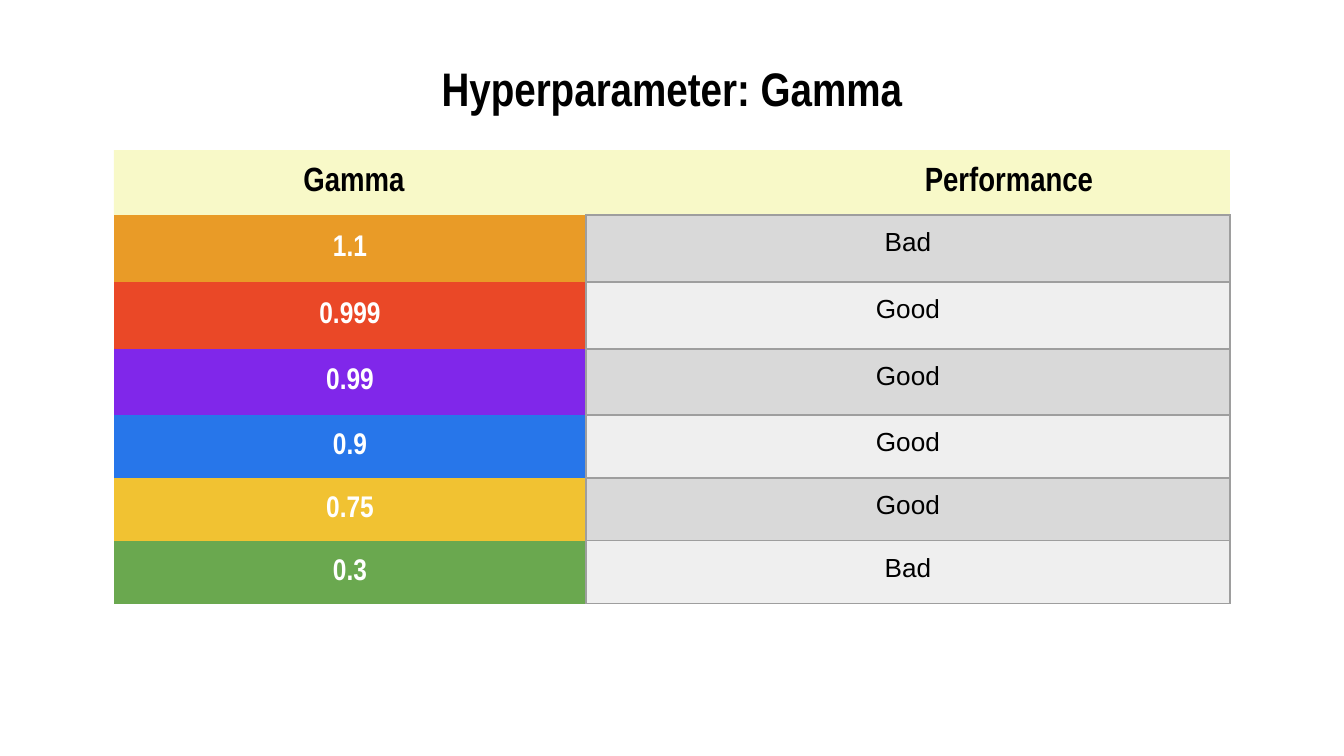
from lxml import etree
from pptx import Presentation
from pptx.dml.color import RGBColor
from pptx.enum.text import MSO_ANCHOR, PP_ALIGN
from pptx.oxml.ns import qn
from pptx.util import Pt

CENTER = PP_ALIGN.CENTER
MIDDLE, TOP = MSO_ANCHOR.MIDDLE, MSO_ANCHOR.TOP
TITLE_ONLY = 5
EMU_PER_PX = 914400 / 134.4
INSET = 13
HEADING_FONT, BODY_FONT = "Arial Narrow", "Arial"
NO_STYLE = "{2D5ABB26-0587-4C30-8999-92F81FD0307C}"

COLORS = {
    "text": "000000", "on_color": "FFFFFF", "header": "E4EA27",
    "border": "9E9E9E", "odd": "D9D9D9", "even": "EFEFEF",
    "orange": "E99B27", "red": "EA4827", "purple": "8027EA",
    "blue": "2776EA", "yellow": "F1C232", "green": "6AA84F",
}
RESULTS = [
    ("1.1", "Bad", "orange", 67),
    ("0.999", "Good", "red", 67),
    ("0.99", "Good", "purple", 66),
    ("0.9", "Good", "blue", 63),
    ("0.75", "Good", "yellow", 63),
    ("0.3", "Bad", "green", 63),
]
HEADER_HEIGHT = 65
COLUMN_WIDTHS = (472, 644)
HEADING_CENTERS = (240, 895)


def px(length):
    return round(length * EMU_PER_PX)


def rgb(name):
    return RGBColor.from_string(COLORS[name])


def set_insets(holder):
    holder.margin_left = holder.margin_right = px(INSET)
    holder.margin_top = holder.margin_bottom = px(INSET)


def write(paragraph, text, size, font, color, bold):
    run = paragraph.add_run()
    run.text = text
    run.font.size = Pt(size)
    run.font.name = font
    run.font.bold = bold
    run.font.color.rgb = rgb(color)


def fill_cell(cell, color, anchor):
    set_insets(cell)
    cell.vertical_anchor = anchor
    cell.fill.solid()
    cell.fill.fore_color.rgb = rgb(color)


def draw_borders(cell, sides):
    """Draw thin lines on the given sides, in L, R, T, B order."""
    properties = cell._tc.get_or_add_tcPr()
    for position, side in enumerate(sides):
        line = etree.Element(qn(f"a:ln{side}"), w=str(Pt(0.75)))
        solid = etree.SubElement(line, qn("a:solidFill"))
        etree.SubElement(solid, qn("a:srgbClr"), val=COLORS["border"])
        properties.insert(position, line)


def add_title(slide, left, top, width, height):
    title = slide.shapes.title
    title.left, title.top = px(left), px(top)
    title.width, title.height = px(width), px(height)
    frame = title.text_frame
    set_insets(frame)
    frame.vertical_anchor = MIDDLE
    frame.paragraphs[0].alignment = CENTER
    write(frame.paragraphs[0], "Hyperparameter: Gamma", 25.2, HEADING_FONT, "text", True)


def add_header(table):
    """Merge the first row and centre both headings on tab stops."""
    header = table.cell(0, 0)
    header.merge(table.cell(0, 1))
    fill_cell(header, "header", MIDDLE)
    tint = header._tc.tcPr.find(".//" + qn("a:srgbClr"))
    etree.SubElement(tint, qn("a:alpha"), val="25000")
    paragraph = header.text_frame.paragraphs[0]
    tabs = etree.SubElement(paragraph._p.get_or_add_pPr(), qn("a:tabLst"))
    for center in HEADING_CENTERS:
        etree.SubElement(tabs, qn("a:tab"), pos=str(px(center - INSET)), algn="ctr")
    write(paragraph, "\tGamma\tPerformance", 18, HEADING_FONT, "text", True)


def add_results_table(slide, left, top):
    heights = [HEADER_HEIGHT] + [height for *_, height in RESULTS]
    frame = slide.shapes.add_table(
        len(heights), len(COLUMN_WIDTHS), px(left), px(top),
        px(sum(COLUMN_WIDTHS)), px(sum(heights)))
    table = frame.table
    table.first_row = table.horz_banding = False
    table._tbl.tblPr.find(qn("a:tableStyleId")).text = NO_STYLE
    for column, width in zip(table.columns, COLUMN_WIDTHS):
        column.width = px(width)
    for row, height in zip(table.rows, heights):
        row.height = px(height)

    add_header(table)
    for index, (gamma, performance, color, _) in enumerate(RESULTS, start=1):
        gamma_cell, performance_cell = table.cell(index, 0), table.cell(index, 1)
        fill_cell(gamma_cell, color, MIDDLE)
        draw_borders(gamma_cell, "R")
        fill_cell(performance_cell, "odd" if index % 2 else "even", TOP)
        draw_borders(performance_cell, "LRTB")
        gamma_line = gamma_cell.text_frame.paragraphs[0]
        performance_line = performance_cell.text_frame.paragraphs[0]
        gamma_line.alignment = performance_line.alignment = CENTER
        write(gamma_line, gamma, 16, HEADING_FONT, "on_color", True)
        write(performance_line, performance, 14, BODY_FONT, "text", False)


def main():
    deck = Presentation()
    deck.slide_width, deck.slide_height = px(1344), px(756)
    slide = deck.slides.add_slide(deck.slide_layouts[TITLE_ONLY])
    add_title(slide, 67, 60, 1210, 55)
    add_results_table(slide, 114, 150)
    deck.save("out.pptx")


if __name__ == "__main__":
    main()
